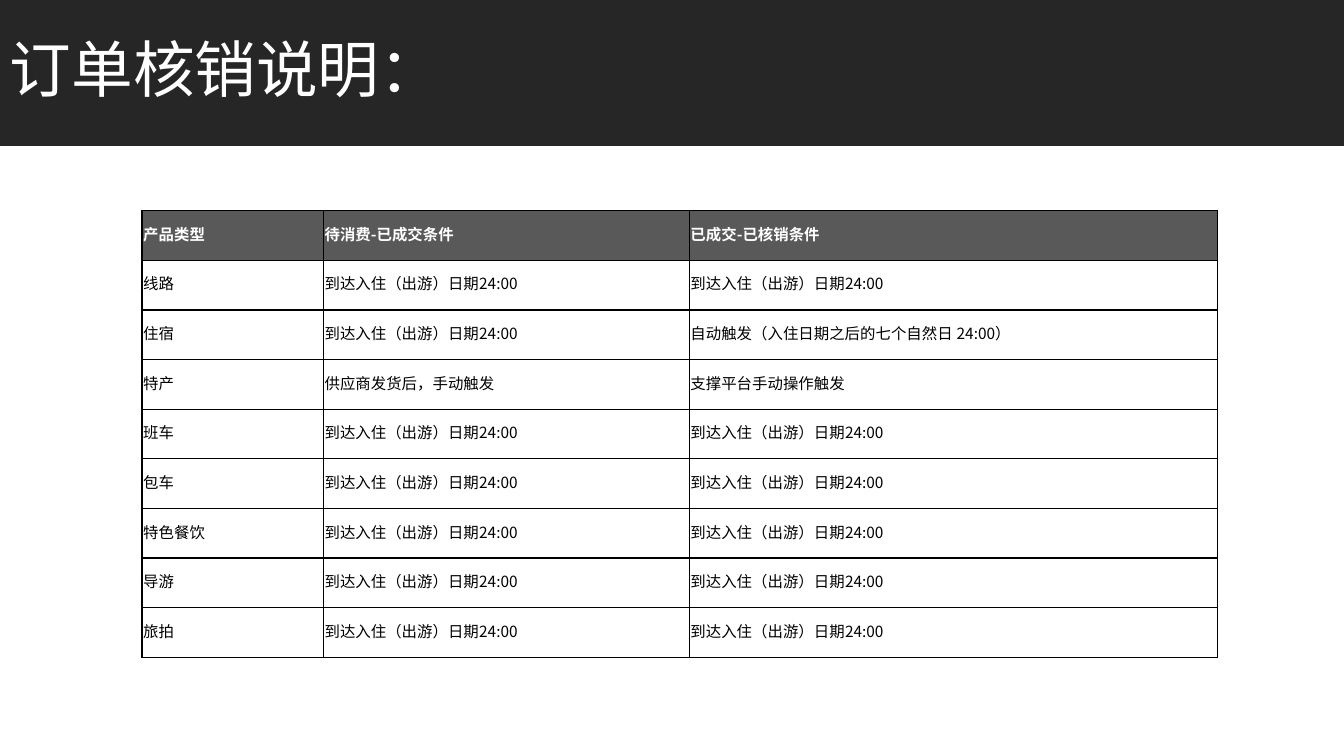
from lxml.etree import SubElement
from pptx import Presentation
from pptx.dml.color import RGBColor
from pptx.enum.shapes import MSO_SHAPE
from pptx.enum.text import MSO_ANCHOR, PP_ALIGN
from pptx.oxml import parse_xml
from pptx.oxml.ns import nsdecls, qn
from pptx.util import Cm, Pt

COLORS = {"banner": "262626", "header": "595959", "body": "FFFFFF",
          "light": "FFFFFF", "dark": "000000", "border": "000000"}
ARRIVAL = "到达入住（出游）日期24:00"
HEADER = ("产品类型", "待消费-已成交条件", "已成交-已核销条件")
# Products whose conditions differ from the arrival rule
SPECIAL = {
    "住宿": (ARRIVAL, "自动触发（入住日期之后的七个自然日 24:00）"),
    "特产": ("供应商发货后，手动触发", "支撑平台手动操作触发"),
}
PRODUCTS = ("线路", "住宿", "特产", "班车", "包车", "特色餐饮", "导游", "旅拍")


class SlideBuilder:
    font = "Noto Sans CJK SC"

    def __init__(self, prs):
        self.s = prs.slides.add_slide(prs.slide_layouts[6])

    def color(self, name):
        return RGBColor.from_string(COLORS[name])

    def fill(self, target, name):
        target.fill.solid()
        target.fill.fore_color.rgb = self.color(name)

    def text(self, tf, text, size, color, align, bold=False):
        tf.text = text
        p = tf.paragraphs[0]
        p.alignment = align
        r = p.runs[0]
        r.font.size = Pt(size)
        r.font.bold = bold
        r.font.color.rgb = self.color(color)
        r.font.name = self.font
        SubElement(r.font._element, qn("a:ea")).set("typeface", self.font)
        return p

    def banner(self, text, width, height):
        sp = self.s.shapes.add_shape(MSO_SHAPE.RECTANGLE, 0, 0, Cm(width), Cm(height))
        sp.shadow.inherit = False
        self.fill(sp, "banner")
        sp.line.fill.background()
        tf = sp.text_frame
        tf.word_wrap = True
        tf.vertical_anchor = MSO_ANCHOR.MIDDLE
        p = self.text(tf, text, 44, "light", PP_ALIGN.LEFT)
        p.line_spacing = 0.9

    def borders(self, cell, width=1):
        tcPr = cell._tc.get_or_add_tcPr()
        for i, side in enumerate("LRTB"):
            tcPr.insert(i, parse_xml(
                f'<a:ln{side} {nsdecls("a")} w="{Pt(width)}"><a:solidFill>'
                f'<a:srgbClr val="{COLORS["border"]}"/></a:solidFill></a:ln{side}>'))

    def cell(self, cell, text, header):
        cell.margin_left = cell.margin_right = cell.margin_top = Cm(0.03)
        cell.margin_bottom = Cm(0.13)
        cell.vertical_anchor = MSO_ANCHOR.MIDDLE
        self.fill(cell, "header" if header else "body")
        self.borders(cell)
        self.text(cell.text_frame, text, 11, "light" if header else "dark",
                  PP_ALIGN.JUSTIFY, header)

    def table(self, rows, left, top, widths, row_height):
        table = self.s.shapes.add_table(
            len(rows), len(widths), Cm(left), Cm(top),
            Cm(sum(widths)), Cm(row_height * len(rows))).table
        for column, width in zip(table.columns, widths):
            column.width = Cm(width)
        for i, row in enumerate(rows):
            table.rows[i].height = Cm(row_height)
            for j, text in enumerate(row):
                self.cell(table.cell(i, j), text, header=i == 0)


def main():
    prs = Presentation()
    prs.slide_width, prs.slide_height = Cm(33.87), Cm(19.05)
    slide = SlideBuilder(prs)

    # Condition table
    rows = [HEADER] + [(name, *SPECIAL.get(name, (ARRIVAL, ARRIVAL)))
                       for name in PRODUCTS]
    slide.table(rows, 3.58, 5.31, (4.57, 9.22, 13.31), 1.25)

    # Title banner
    slide.banner("订单核销说明：", 34.7, 3.68)

    prs.save("out.pptx")


if __name__ == "__main__":
    main()
